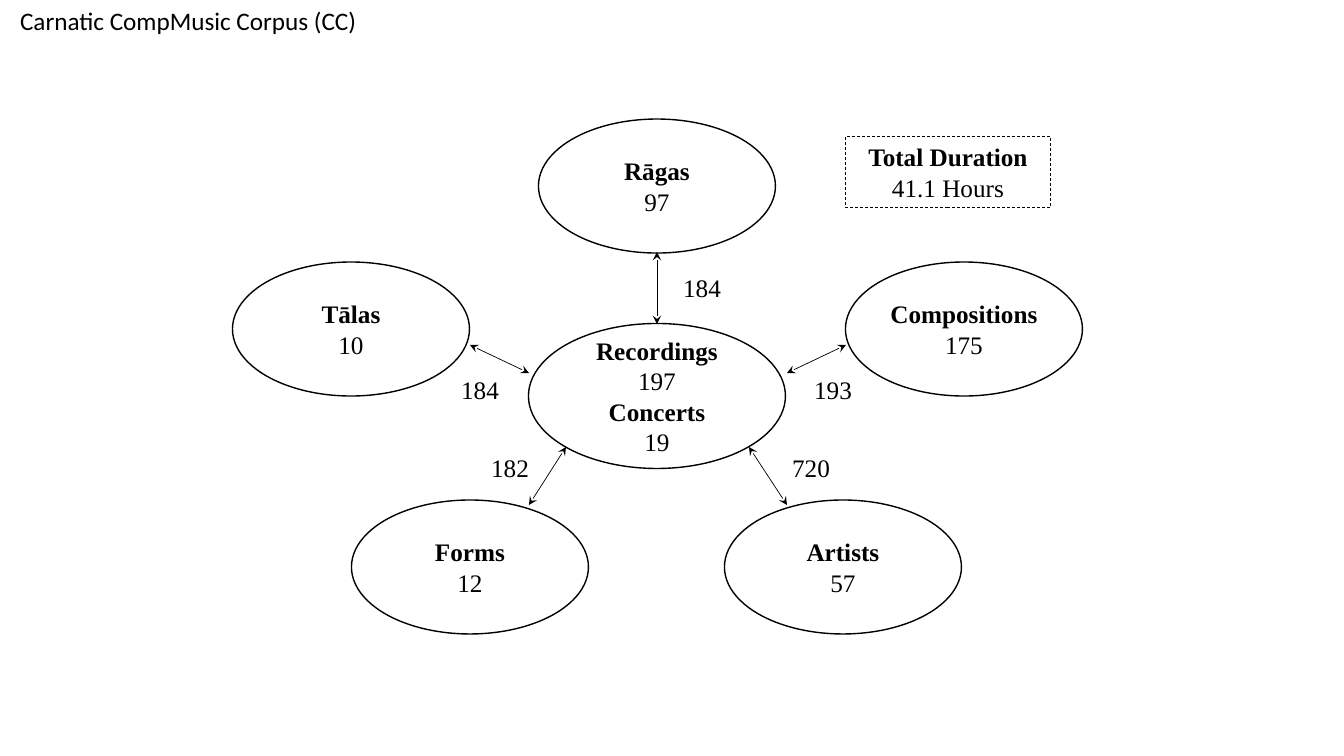
"""Build the corpus overview slide: recordings linked to five kinds of metadata."""
from typing import NamedTuple

from lxml import etree
from pptx import Presentation
from pptx import util as u
from pptx.dml.color import RGBColor
from pptx.enum import dml, shapes, text
from pptx.oxml import ns

SCALE = 914400 / 100.8
BLACK = RGBColor(0, 0, 0)
SERIF = "Times New Roman"
SANS = "Calibri"
TEXT_SIZE = u.Pt(18)
NODE_SIZE = (237, 134)
HUB_SIZE = (257, 145)
DURATION_SIZE = (205, 71)
LABEL_SIZE = (94, 40)


class Entity(NamedTuple):
    name: str
    count: str
    center: tuple[int, int]


class Link(NamedTuple):
    count: str
    label_center: tuple[int, int]
    start: tuple[int, int]
    end: tuple[int, int]


ENTITIES = [
    Entity("Compositions", "175", (964, 329)),
    Entity("Artists", "57", (843, 567)),
    Entity("Forms", "12", (470, 567)),
    Entity("Tālas", "10", (351, 329)),
    Entity("Rāgas", "97", (657, 186)),
]
LINKS = [
    Link("184", (702, 287), (657, 252), (657, 324)),
    Link("184", (480, 389), (470, 345), (529, 373)),
    Link("193", (833, 389), (846, 345), (787, 373)),
    Link("182", (510, 467), (566, 447), (529, 505)),
    Link("720", (811, 467), (749, 447), (787, 505)),
]


def px(*lengths: int) -> list[u.Emu]:
    return [u.Emu(round(length * SCALE)) for length in lengths]


def centered(center: tuple[int, int], size: tuple[int, int]) -> list[u.Emu]:
    (x, y), (width, height) = center, size
    return px(x - width / 2, y - height / 2, width, height)


def write(para, words: str, font: str, bold: bool = False) -> None:
    span = para.add_run()
    span.text = words
    span.font.name = font
    span.font.size = TEXT_SIZE
    span.font.bold = bold
    span.font.color.rgb = BLACK


def write_lines(frame, lines: list[tuple[str, bool]]) -> None:
    frame.word_wrap = True
    for index, (words, bold) in enumerate(lines):
        para = frame.add_paragraph() if index else frame.paragraphs[0]
        para.alignment = text.PP_ALIGN.CENTER
        write(para, words, SERIF, bold)


def add_box(page, kind, center: tuple[int, int], size: tuple[int, int],
            facts: list[tuple[str, str]], line_width: float):
    box = page.shapes.add_shape(kind, *centered(center, size))
    box.shadow.inherit = False
    box.fill.background()
    box.line.color.rgb = BLACK
    box.line.width = u.Pt(line_width)
    box.text_frame.vertical_anchor = text.MSO_ANCHOR.MIDDLE
    lines = [line for name, value in facts for line in ((name, True), (value, False))]
    write_lines(box.text_frame, lines)
    return box


def add_link(page, link: Link) -> None:
    arrow = page.shapes.add_connector(
        shapes.MSO_CONNECTOR.STRAIGHT, *px(*link.start, *link.end))
    arrow.line.color.rgb = BLACK
    arrow.line.width = u.Pt(0.5)
    outline = arrow.line._get_or_add_ln()
    for end in ("a:headEnd", "a:tailEnd"):
        etree.SubElement(outline, ns.qn(end), type="stealth")
    etree.SubElement(arrow._element.spPr, ns.qn("a:effectLst"))
    label = page.shapes.add_textbox(*centered(link.label_center, LABEL_SIZE))
    write_lines(label.text_frame, [(link.count, False)])


def add_title(page, words: str) -> None:
    title = page.shapes.title
    title.left, title.top, title.width, title.height = px(10, 0, 421, 40)
    frame = title.text_frame
    frame.auto_size = text.MSO_AUTO_SIZE.NONE
    frame.vertical_anchor = text.MSO_ANCHOR.TOP
    frame.paragraphs[0].alignment = text.PP_ALIGN.LEFT
    write(frame.paragraphs[0], words, SANS)


def main() -> None:
    deck = Presentation()
    deck.slide_width, deck.slide_height = px(1344, 756)
    page = deck.slides.add_slide(deck.slide_layouts.get_by_name("Title Only"))
    add_title(page, "Carnatic CompMusic Corpus (CC)")
    oval = shapes.MSO_SHAPE.OVAL
    add_box(page, oval, (657, 396), HUB_SIZE,
            [("Recordings", "197"), ("Concerts", "19")], 1)
    for entity in ENTITIES:
        add_box(page, oval, entity.center, NODE_SIZE, [(entity.name, entity.count)], 1)
    for link in LINKS:
        add_link(page, link)
    duration = add_box(page, shapes.MSO_SHAPE.RECTANGLE, (948, 172), DURATION_SIZE,
                       [("Total Duration", "41.1 Hours")], 0.5)
    duration.line.dash_style = dml.MSO_LINE.DASH
    deck.save("out.pptx")


main()
